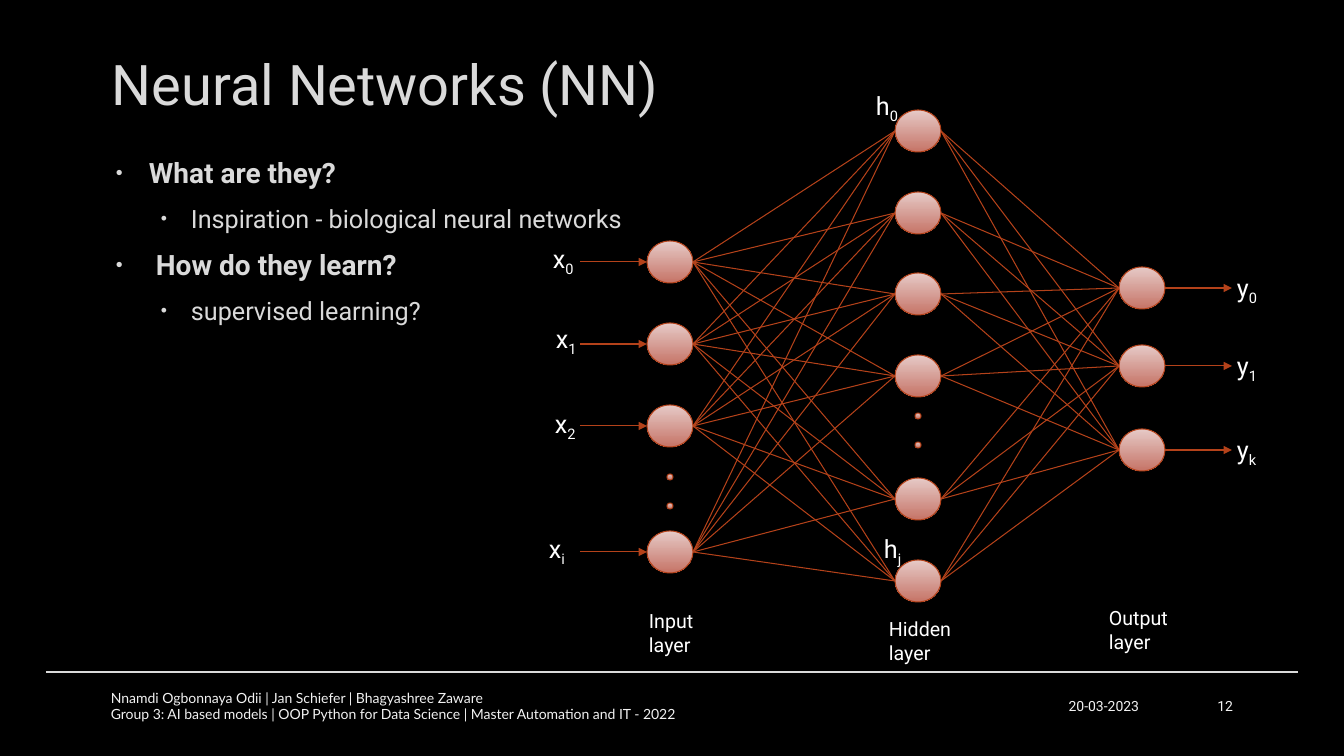
from itertools import product

from lxml import etree
from pptx import Presentation
from pptx.dml.color import RGBColor
from pptx.enum.shapes import MSO_CONNECTOR, MSO_SHAPE
from pptx.enum.text import MSO_ANCHOR, PP_ALIGN
from pptx.oxml.ns import qn
from pptx.util import Pt

STRAIGHT = MSO_CONNECTOR.STRAIGHT
NODE = MSO_SHAPE.FLOWCHART_CONNECTOR
TOP, MIDDLE = MSO_ANCHOR.TOP, MSO_ANCHOR.MIDDLE
LEFT, RIGHT = PP_ALIGN.LEFT, PP_ALIGN.RIGHT

BLACK = RGBColor(0x00, 0x00, 0x00)
WHITE = RGBColor(0xFF, 0xFF, 0xFF)
LIGHT = RGBColor(0xDA, 0xDA, 0xDA)
PALE = RGBColor(0xF2, 0xF2, 0xF2)
RUST = RGBColor(0xB4, 0x42, 0x1A)
NODE_TOP = RGBColor(0xE6, 0xCA, 0xC7)
NODE_BOTTOM = RGBColor(0xC6, 0x74, 0x67)

SLIDE_W, SLIDE_H = 1344, 756
EMU_PER_PX = 12192000 / SLIDE_W
NODE_W, NODE_H, DOT = 46, 42, 6
ARROW = 67


def px(n):
    return round(n * EMU_PER_PX)


class Deck:
    font = "Roboto"

    def __init__(self):
        self.prs = Presentation()
        self.prs.slide_width = px(SLIDE_W)
        self.prs.slide_height = px(SLIDE_H)

    def new_slide(self):
        self.s = self.prs.slides.add_slide(self.prs.slide_layouts[6])
        fill = self.s.background.fill
        fill.solid()
        fill.fore_color.rgb = BLACK

    def box(self, x, y, w, h, anchor=TOP):
        tf = self.s.shapes.add_textbox(px(x), px(y), px(w), px(h)).text_frame
        tf.word_wrap = True
        tf.vertical_anchor = anchor
        return tf

    def run(self, p, text, size, color, bold=False, font=None, sub=False):
        r = p.add_run()
        r.text = text
        r.font.size = Pt(size)
        r.font.name = font or self.font
        r.font.bold = bold
        r.font.color.rgb = color
        if sub:
            r.font._element.set("baseline", "-25000")

    def text(self, x, y, w, h, lines, size, color, anchor=TOP, align=LEFT, font=None):
        tf = self.box(x, y, w, h, anchor)
        for i, line in enumerate(lines):
            p = tf.add_paragraph() if i else tf.paragraphs[0]
            p.alignment = align
            self.run(p, line, size, color, font=font)

    def label(self, x, y, w, letter, index):
        p = self.box(x, y, w, 40).paragraphs[0]
        self.run(p, letter, 18, WHITE)
        self.run(p, index, 18, WHITE, sub=True)

    def bullets(self, x, y, w, h, items):
        tf = self.box(x, y, w, h)
        for i, (level, margin, hanging, text) in enumerate(items):
            p = tf.add_paragraph() if i else tf.paragraphs[0]
            p.level = level
            pPr = p._p.get_or_add_pPr()
            pPr.set("marL", str(px(margin)))
            pPr.set("indent", str(-px(hanging)))
            clr = etree.SubElement(pPr, qn("a:buClr"))
            etree.SubElement(clr, qn("a:srgbClr"), val=str(LIGHT))
            etree.SubElement(pPr, qn("a:buSzPct"), val="70000")
            etree.SubElement(pPr, qn("a:buFont"), typeface="Arial")
            etree.SubElement(pPr, qn("a:buChar"), char="•")
            p.space_before = Pt(4 if i else 0)
            p.space_after = Pt(6)
            self.run(p, text, 18 if level else 20, LIGHT, bold=level == 0)

    def node(self, cx, cy, w=NODE_W, h=NODE_H):
        sp = self.s.shapes.add_shape(NODE, px(cx - w / 2), px(cy - h / 2), px(w), px(h))
        sp.shadow.inherit = False
        sp.fill.gradient()
        sp.fill.gradient_angle = 270
        for stop, color in zip(sp.fill.gradient_stops, (NODE_TOP, NODE_BOTTOM)):
            stop.color.rgb = color
        sp.line.color.rgb = RUST
        sp.line.width = Pt(0.75)

    def line(self, x1, y1, x2, y2, color=RUST, arrow=False):
        c = self.s.shapes.add_connector(STRAIGHT, px(x1), px(y1), px(x2), px(y2))
        c.line.color.rgb = color
        c.line.width = Pt(0.75)
        spPr = c._element.spPr
        if arrow:
            etree.SubElement(spPr.find(qn("a:ln")), qn("a:tailEnd"), type="triangle")
        etree.SubElement(spPr, qn("a:effectLst"))


def main():
    deck = Deck()
    deck.new_slide()

    deck.line(46, 672, 1298, 672, LIGHT)
    deck.text(102, 30, 1141, 107, ["Neural Networks (NN)"], 40, LIGHT, MIDDLE)
    deck.bullets(101, 151, 1141, 508, [
        (0, 38, 33, "What are they?"),
        (1, 80, 30, "Inspiration - biological neural networks"),
        (0, 45, 40, "How do they learn?"),
        (1, 80, 30, "supervised learning?"),
    ])
    deck.text(847, 686, 302, 40, ["20-03-2023"], 10, PALE, MIDDLE, RIGHT)
    deck.text(101, 686, 736, 40, [
        "Nnamdi Ogbonnaya Odii | Jan Schiefer | Bhagyashree Zaware",
        "Group 3: AI based models | OOP Python for Data Science | Master Automation and IT - 2022",
    ], 10, PALE, MIDDLE, font="Lato")
    deck.text(1160, 686, 83, 40, ["12"], 10, PALE, MIDDLE, RIGHT)

    inputs = (670, (262, 344, 426, 552))
    hidden = (918, (131, 213, 294, 376, 499, 581))
    outputs = (1142, (288, 366, 450))
    half = NODE_W // 2

    for (x1, ys1), (x2, ys2) in ((inputs, hidden), (hidden, outputs)):
        for y1, y2 in product(ys1, ys2):
            deck.line(x1 + half, y1, x2 - half, y2)
    for cx, ys in (inputs, hidden, outputs):
        for cy in ys:
            deck.node(cx, cy)
    for cx, first in ((inputs[0], 477), (hidden[0], 416)):
        for cy in (first, first + 29):
            deck.node(cx, cy, DOT, DOT)

    for start, ys in ((inputs[0] - half - ARROW, inputs[1]), (outputs[0] + half, outputs[1])):
        for y in ys:
            deck.line(start, y, start + ARROW, y, arrow=True)

    for x, y, index in ((543, 238, "0"), (546, 318, "1"), (545, 403, "2"), (539, 528, "i")):
        deck.label(x, y, 44, "x", index)
    for y, index in zip(outputs[1], "01k"):
        deck.label(1227, y - 21, 44, "y", index)
    for x, y, index in ((866, 85, "0"), (874, 528, "j")):
        deck.label(x, y, 54, "h", index)

    for x, y, w, name in ((639, 604, 66, "Input"), (879, 612, 84, "Hidden"), (1099, 601, 86, "Output")):
        deck.text(x, y, w, 57, [name, "layer"], 14, WHITE)

    deck.prs.save("out.pptx")


if __name__ == "__main__":
    main()
